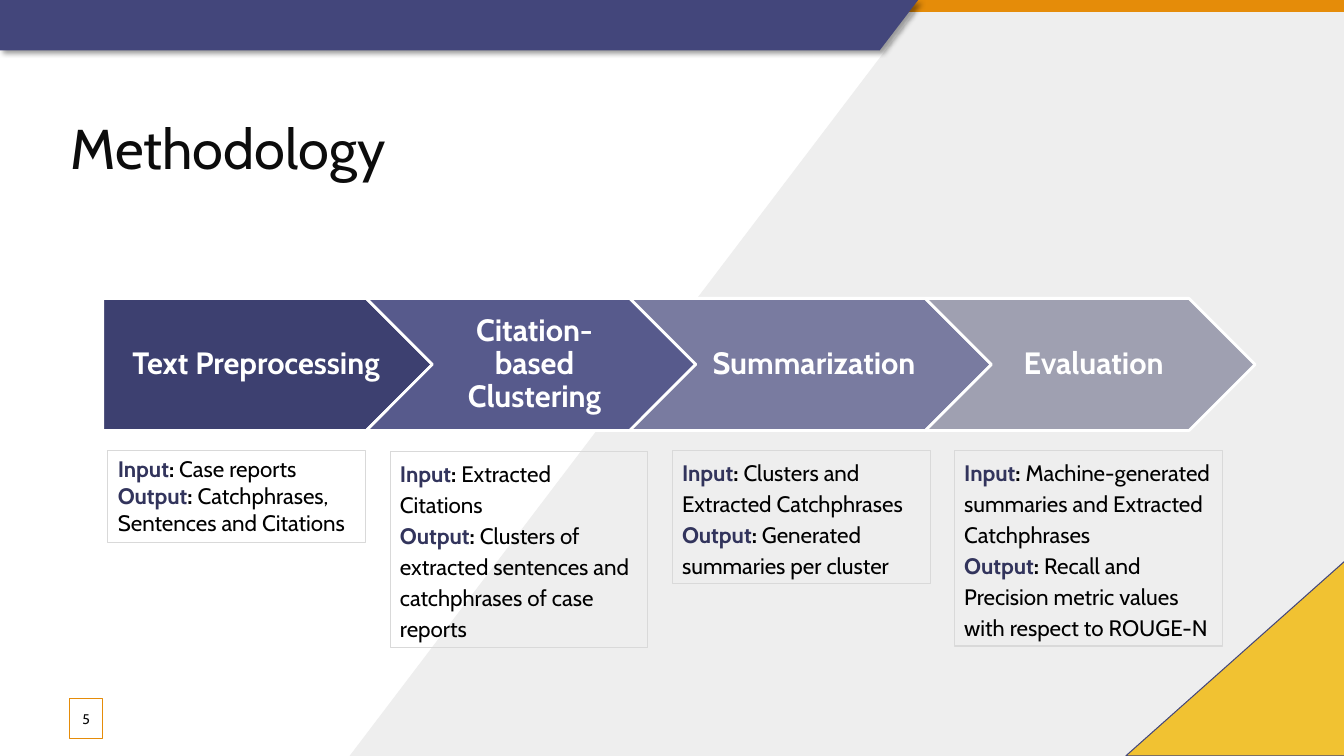
from lxml import etree
from pptx import Presentation
from pptx import util as u
from pptx.dml import color as dml
from pptx.enum import shapes, text
from pptx.oxml import ns

INDIGO, ORANGE, INK = "43467B", "E58C09", "0C0C0C"


def paint(shape, fill=None, line=None, weight=0.75):
    shape.shadow.inherit = False
    for part, color in ((shape.fill, fill), (shape.line.fill, line)):
        if color:
            part.solid()
            part.fore_color.rgb = dml.RGBColor.from_string(color)
        else:
            part.background()
    if line:
        shape.line.width = u.Pt(weight)


def write(para, words, size=16, color="000000", bold=False,
          align=text.PP_ALIGN.LEFT, spacing=1.0):
    para.alignment = align
    para.line_spacing = spacing
    span = para.add_run()
    span.text = words
    span.font.name = "Cabin"
    span.font.size = u.Pt(size)
    span.font.bold = bold
    span.font.color.rgb = dml.RGBColor.from_string(color)


deck = Presentation()
deck.slide_width = u.Cm(33.87)
deck.slide_height = u.Cm(19.05)
page = deck.slides.add_slide(deck.slide_layouts[5])

# Background
backdrop = [(23.14, 0), (33.87, 0), (33.87, 19.05), (8.81, 19.05), (23.14, 0.18)]
banner = [(0, 0), (23.14, 0), (22.17, 1.27), (0, 1.27)]
outlines = []
for corners, color in ((backdrop, "EEEEEE"), (banner, INDIGO)):
    points = [(u.Cm(x), u.Cm(y)) for x, y in corners]
    builder = page.shapes.build_freeform(*points[0])
    builder.add_line_segments(points[1:], close=True)
    outline = builder.convert_to_shape()
    paint(outline, color)
    outlines.append(outline)

stripe = page.shapes.add_shape(shapes.MSO_SHAPE.RECTANGLE, 0, 0, deck.slide_width, u.Cm(0.3))
paint(stripe, ORANGE)
outlines[1]._element.addprevious(stripe._element)

effects = outlines[1]._element.spPr.find(ns.qn("a:effectLst"))
shadow = etree.SubElement(effects, ns.qn("a:outerShdw"), blurRad=str(u.Pt(4)),
                          dist=str(u.Pt(3)), dir="2700000", algn="tl", rotWithShape="0")
shade = etree.SubElement(shadow, ns.qn("a:srgbClr"), val="000000")
etree.SubElement(shade, ns.qn("a:alpha"), val="40000")

# Title
title = page.shapes.title
title.left, title.top, title.width, title.height = map(u.Cm, (1.52, 2.74, 30.02, 1.96))
title.text_frame.auto_size = text.MSO_AUTO_SIZE.NONE
title.text_frame.vertical_anchor = text.MSO_ANCHOR.TOP
write(title.text_frame.paragraphs[0], "Methodology", size=40, color=INK)
page.shapes._spTree.append(title._element)

# Page number
number = page.shapes.add_shape(shapes.MSO_SHAPE.RECTANGLE, u.Cm(1.75), u.Cm(17.6),
                               u.Cm(0.84), u.Cm(1.02))
paint(number, "FFFFFF", ORANGE)
tint = number._element.spPr.find(ns.qn("a:solidFill")).find(ns.qn("a:srgbClr"))
etree.SubElement(tint, ns.qn("a:alpha"), val="82000")
number.text_frame.margin_left = number.text_frame.margin_right = 0
number.text_frame.vertical_anchor = text.MSO_ANCHOR.MIDDLE
write(number.text_frame.paragraphs[0], "5", size=10, color=INK, align=text.PP_ALIGN.CENTER)

# Process arrows
pentagon, chevron = shapes.MSO_SHAPE.PENTAGON, shapes.MSO_SHAPE.CHEVRON
steps = [
    ("Text Preprocessing", pentagon, 8.31, "3D4070", 0.33),
    ("Citation-based Clustering", chevron, 8.31, "575A8C", 0.25),
    ("Summarization", chevron, 9.12, "797BA0", 0.25),
    ("Evaluation", chevron, 8.31, "9FA0B1", 0.25),
]
left, overlap = 2.59, 1.67
for label, kind, width, color, inset in steps:
    arrow = page.shapes.add_shape(kind, u.Cm(left), u.Cm(7.52), u.Cm(width), u.Cm(3.33))
    paint(arrow, color, "FFFFFF", 2)
    frame = arrow.text_frame
    frame.word_wrap = True
    frame.vertical_anchor = text.MSO_ANCHOR.MIDDLE
    frame.margin_left, frame.margin_right = u.Cm(inset), u.Cm(0.08)
    frame.margin_top = frame.margin_bottom = u.Cm(0.15)
    write(frame.paragraphs[0], label, size=22, color="FFFFFF", bold=True,
          align=text.PP_ALIGN.CENTER, spacing=0.9)
    left += width - overlap

# Input and output cards
cards = [
    (11.35, 6.5, 2.31, 1.0, "Case reports", "Catchphrases, Sentences and Citations"),
    (11.38, 6.5, 4.93, 1.15, "Extracted Citations",
     "Clusters of extracted sentences and catchphrases of case reports"),
    (11.35, 6.5, 3.35, 1.15, "Clusters and Extracted Catchphrases",
     "Generated summaries per cluster"),
    (11.35, 6.76, 4.93, 1.15, "Machine-generated summaries and Extracted Catchphrases",
     "Recall and Precision metric values with respect to ROUGE-N"),
]
for column, (top, width, height, spacing, source, result) in enumerate(cards):
    card = page.shapes.add_shape(shapes.MSO_SHAPE.RECTANGLE, u.Cm(2.72 + 7.11 * column),
                                 u.Cm(top), u.Cm(width), u.Cm(height))
    paint(card, line="D9D9D9")
    frame = card.text_frame
    frame.word_wrap = True
    frame.auto_size = text.MSO_AUTO_SIZE.SHAPE_TO_FIT_TEXT
    frame.vertical_anchor = text.MSO_ANCHOR.TOP
    frame.add_paragraph()
    for para, heading, detail in zip(frame.paragraphs, ("Input", "Output"), (source, result)):
        write(para, heading, color="32345C", bold=True, spacing=spacing)
        write(para, ": ", bold=True, spacing=spacing)
        write(para, detail, spacing=spacing)

# Corner triangle
corner = page.shapes.add_shape(shapes.MSO_SHAPE.RIGHT_TRIANGLE, u.Cm(28.68), u.Cm(13.84),
                               u.Cm(4.9), u.Cm(5.51))
corner.rotation = 270
paint(corner, "F1C232", INDIGO)

deck.save("out.pptx")
